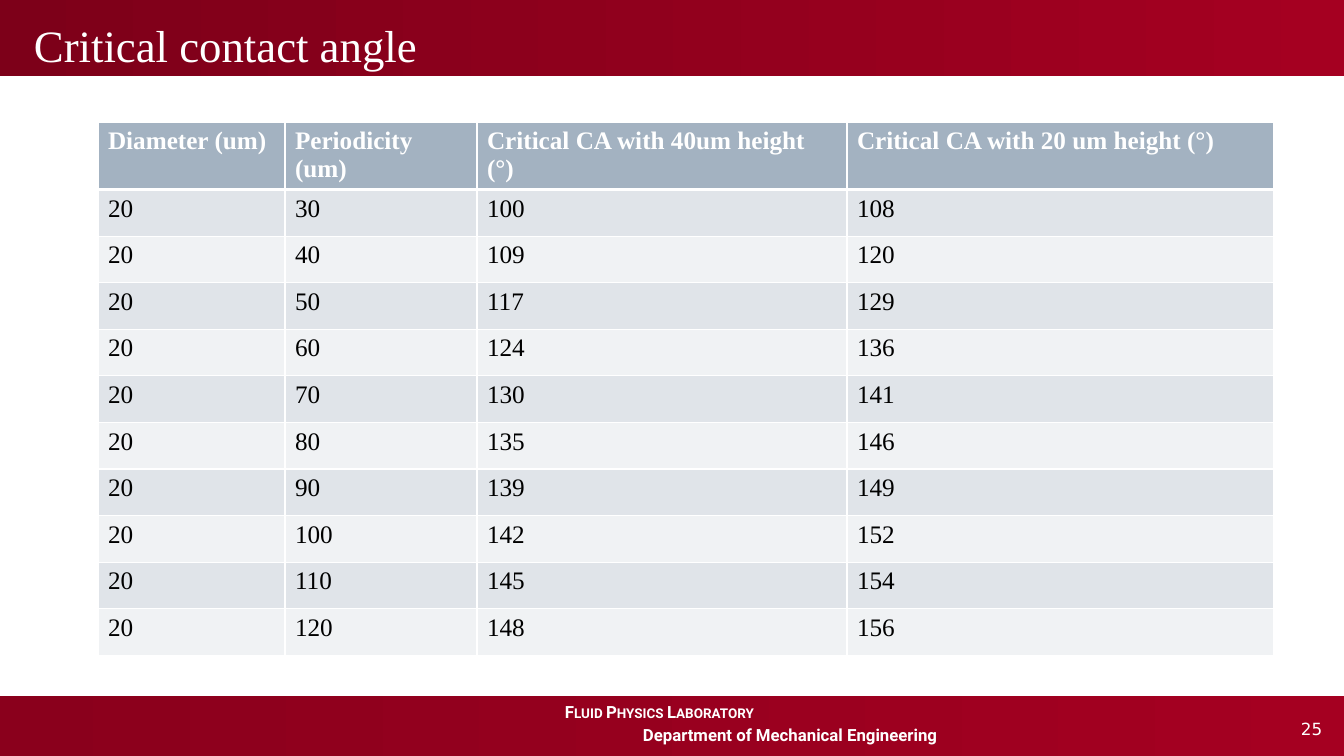
from lxml.etree import SubElement
from pptx import Presentation
from pptx.dml.color import RGBColor
from pptx.enum.shapes import MSO_SHAPE
from pptx.enum.text import MSO_ANCHOR, PP_ALIGN
from pptx.oxml.ns import qn
from pptx.util import Emu, Pt

EMU_PER_PX = 914400 / 100.8

WHITE = RGBColor(0xFF, 0xFF, 0xFF)
BLACK = RGBColor(0x00, 0x00, 0x00)
RED = RGBColor(0xA5, 0x00, 0x21)
TITLE_DARK_RED = RGBColor(0x7D, 0x00, 0x19)
FOOTER_DARK_RED = RGBColor(0x8A, 0x00, 0x1C)
HEADER_BLUE = RGBColor(0xA3, 0xB2, 0xC1)
ODD_GREY = RGBColor(0xE0, 0xE4, 0xE9)
EVEN_GREY = RGBColor(0xF0, 0xF2, 0xF4)

SERIF = "Times New Roman"
COLUMN_WIDTHS = (187, 192, 370, 427)
HEADER_HEIGHT = 65
BODY_HEIGHT = 466
HEADINGS = ("Diameter (um)", "Periodicity (um)",
            "Critical CA with 40um height (°)", "Critical CA with 20 um height (°)")
DIAMETER = 20
PERIODICITIES = range(30, 121, 10)
ANGLES_40UM = (100, 109, 117, 124, 130, 135, 139, 142, 145, 148)
ANGLES_20UM = (108, 120, 129, 136, 141, 146, 149, 152, 154, 156)


def px(length):
    return Emu(round(length * EMU_PER_PX))


def style_paragraph(paragraph, font_name, size, color, bold=False):
    paragraph.alignment = PP_ALIGN.LEFT
    for run in paragraph.runs:
        run.font.name = font_name
        run.font.size = Pt(size)
        run.font.color.rgb = color
        run.font.bold = bold


def add_band(slide, left, top, width, height, dark_red):
    band = slide.shapes.add_shape(MSO_SHAPE.RECTANGLE, px(left), px(top), px(width), px(height))
    band.shadow.inherit = False
    band.line.fill.background()
    band.fill.gradient()
    band.fill.gradient_angle = 0
    for stop, color in zip(band.fill.gradient_stops, (dark_red, RED)):
        stop.color.rgb = color
    return band


def add_title(slide):
    band = add_band(slide, -2, 0, 1351, 76, TITLE_DARK_RED)
    frame = band.text_frame
    frame.vertical_anchor = MSO_ANCHOR.BOTTOM
    frame.text = "Critical contact angle"
    title = frame.paragraphs[0]
    style_paragraph(title, SERIF, 32, WHITE)
    title._p.get_or_add_pPr().set("indent", str(px(26)))


def add_footer(slide):
    band = add_band(slide, -3, 696, 1351, 60, FOOTER_DARK_RED)
    frame = band.text_frame
    frame.vertical_anchor = MSO_ANCHOR.TOP
    frame.margin_top = px(15)
    frame.text = "Fluid Physics Laboratory\nDepartment of Mechanical Engineering"
    for paragraph, indent in zip(frame.paragraphs, (558, 636)):
        style_paragraph(paragraph, "Roboto", 12, WHITE, bold=True)
        paragraph.line_spacing = Pt(8)
        paragraph._p.get_or_add_pPr().set("marL", str(px(indent)))
    laboratory, department = frame.paragraphs
    laboratory.runs[0].font._element.set("cap", "small")
    department.space_before = Pt(8)


def add_page_number(slide):
    page_box = slide.shapes.add_textbox(px(1291), px(714), px(53), px(30))
    page_box.text_frame.word_wrap = True
    page_box.text_frame.text = "25"
    style_paragraph(page_box.text_frame.paragraphs[0], "DejaVu Sans", 12, WHITE)


def set_borders(cell, top=1, bottom=1):
    properties = cell._tc.get_or_add_tcPr()
    for side, points in (("L", 1), ("R", 1), ("T", top), ("B", bottom)):
        border = SubElement(properties, qn(f"a:ln{side}"), w=str(Pt(points)))
        fill = SubElement(border, qn("a:solidFill"))
        SubElement(fill, qn("a:srgbClr"), val=str(WHITE))


def fill_cell(cell, text, row_number):
    is_header = row_number == 0
    set_borders(cell, top=3 if row_number == 1 else 1, bottom=3 if is_header else 1)
    cell.fill.solid()
    if is_header:
        cell.fill.fore_color.rgb = HEADER_BLUE
        cell.margin_bottom = px(2)
    else:
        cell.fill.fore_color.rgb = ODD_GREY if row_number % 2 else EVEN_GREY
    cell.text_frame.text = str(text)
    style_paragraph(cell.text_frame.paragraphs[0], SERIF, 18,
                    WHITE if is_header else BLACK, bold=is_header)


def add_angle_table(slide):
    measurements = [(DIAMETER, *values)
                    for values in zip(PERIODICITIES, ANGLES_40UM, ANGLES_20UM)]
    table_rows = [HEADINGS, *measurements]
    table = slide.shapes.add_table(
        len(table_rows), len(HEADINGS), px(98), px(122),
        px(sum(COLUMN_WIDTHS)), px(HEADER_HEIGHT + BODY_HEIGHT)).table
    for column, width in zip(table.columns, COLUMN_WIDTHS):
        column.width = px(width)
    for row_number, values in enumerate(table_rows):
        row_height = BODY_HEIGHT / len(measurements) if row_number else HEADER_HEIGHT
        table.rows[row_number].height = px(row_height)
        for cell, value in zip(table.rows[row_number].cells, values):
            fill_cell(cell, value, row_number)


def main():
    presentation = Presentation()
    presentation.slide_width = px(1344)
    presentation.slide_height = px(756)
    slide = presentation.slides.add_slide(presentation.slide_layouts[6])

    # Footer and title bands
    add_footer(slide)
    add_title(slide)
    add_page_number(slide)

    # Contact angles by periodicity
    add_angle_table(slide)

    presentation.save("out.pptx")


if __name__ == "__main__":
    main()
